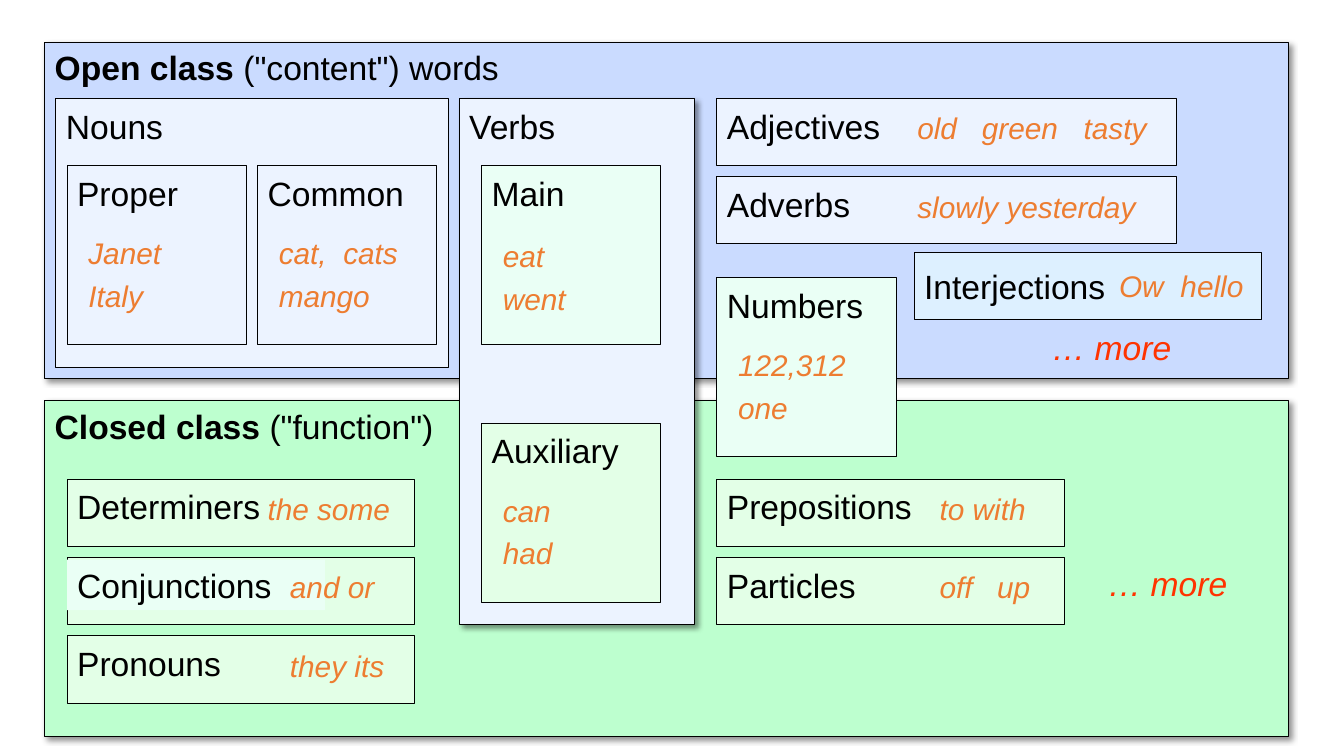
from lxml import etree
from pptx import Presentation
from pptx.dml.color import RGBColor
from pptx.enum.shapes import MSO_SHAPE
from pptx.enum.text import MSO_ANCHOR, PP_ALIGN
from pptx.oxml.ns import qn
from pptx.util import Inches, Pt

RECTANGLE = MSO_SHAPE.RECTANGLE
MIDDLE = MSO_ANCHOR.MIDDLE
LEFT = PP_ALIGN.LEFT

COLORS = {
    "open": "CADBFF",
    "closed": "BDFFCF",
    "pale_blue": "ECF3FF",
    "pale_green": "E3FFE7",
    "mint": "EAFFF5",
    "sky": "DDF0FF",
    "text": "000000",
    "example": "ED7D31",
    "more": "FF3300",
}
UNIT = 1 / 9
GRID_TOP = 0.42
LABEL_SIZE = 24
EXAMPLE_SIZE = 21.3
LABEL_HEIGHT = 4.5
LABEL_DROP = 0.2
EXAMPLE_DROP = 0.6
BAR_HEIGHT = 6
SQUARE = 16


def color(name):
    return RGBColor.from_string(COLORS[name])


def place(column, row, width, height):
    return (Inches(column * UNIT), Inches(GRID_TOP + row * UNIT),
            Inches(width * UNIT), Inches(height * UNIT))


def add_shadow(shape):
    effects = shape._element.spPr.find(qn("a:effectLst"))
    shadow = etree.SubElement(effects, qn("a:outerShdw"), blurRad=str(Pt(4)),
                              dist=str(Pt(3)), dir="2700000", algn="tl", rotWithShape="0")
    black = etree.SubElement(shadow, qn("a:srgbClr"), val=COLORS["text"])
    etree.SubElement(black, qn("a:alpha"), val="43000")


def add_tabs(paragraph, stops):
    tabs = etree.SubElement(paragraph._p.get_or_add_pPr(), qn("a:tabLst"))
    for stop in stops:
        etree.SubElement(tabs, qn("a:tab"), pos=str(Inches(stop)), algn="l")


def style(paragraph, size, color_name, italic=False):
    paragraph.alignment = LEFT
    font = paragraph.font
    font.name = "Arial"
    font.size = Pt(size)
    font.italic = italic
    font.color.rgb = color(color_name)


def add_box(slide, column, row, width, height, fill=None, shadow=False):
    shape = slide.shapes.add_shape(RECTANGLE, *place(column, row, width, height))
    shape.shadow.inherit = False
    if fill:
        shape.fill.solid()
        shape.fill.fore_color.rgb = color(fill)
    else:
        shape.fill.background()
    shape.line.color.rgb = color("text")
    shape.line.width = Pt(0.75)
    if shadow:
        add_shadow(shape)
    return shape


def add_text(slide, column, row, width, lines, size=LABEL_SIZE, color_name="text",
             italic=False, tabs=()):
    height = LABEL_HEIGHT if len(lines) == 1 else 2 * LABEL_HEIGHT - 1
    box = slide.shapes.add_textbox(*place(column, row, width, height))
    frame = box.text_frame
    frame.word_wrap = True
    for index, line in enumerate(lines):
        paragraph = frame.paragraphs[0] if index == 0 else frame.add_paragraph()
        paragraph.text = line
        if index:
            paragraph.space_before = Pt(5)
        if tabs:
            add_tabs(paragraph, tabs)
        style(paragraph, size, color_name, italic)
    return box


def add_examples(slide, column, row, width, lines, tabs=()):
    add_text(slide, column, row, width, lines, EXAMPLE_SIZE, "example", True, tabs)


def add_panel(slide, row, fill):
    add_box(slide, 4, row, 111, 30, fill, shadow=True)


def add_panel_title(slide, row, bold_part, rest):
    box = add_text(slide, 4, row, 45, [bold_part])
    paragraph = box.text_frame.paragraphs[0]
    paragraph.runs[0].font.bold = True
    paragraph.add_run().text = rest


def add_group(slide, column, row, width, height, label):
    add_box(slide, column, row, width, height, "pale_blue", shadow=label == "Verbs")
    add_text(slide, column, row + LABEL_DROP, width, [label])


def add_square(slide, column, row, fill, label, example_row, lines, tabs=()):
    add_box(slide, column, row, SQUARE, SQUARE, fill)
    add_text(slide, column, row + LABEL_DROP, SQUARE, [label])
    add_examples(slide, column + 1, row + example_row, 15, lines, tabs)


def add_bar(slide, column, row, width, fill, label, example_column, example, tabs=(),
            label_fill=None):
    add_box(slide, column, row, width, BAR_HEIGHT, fill)
    label_box = add_text(slide, column, row + LABEL_DROP, 23, [label])
    if label_fill:
        label_box.fill.solid()
        label_box.fill.fore_color.rgb = color(label_fill)
    add_examples(slide, example_column, row + EXAMPLE_DROP, 25, [example], tabs)


def add_interjections(slide):
    box = add_box(slide, 81.6, 18.75, 31, BAR_HEIGHT, "sky")
    frame = box.text_frame
    frame.word_wrap = False
    frame.vertical_anchor = MIDDLE
    frame.text = "Interjections"
    style(frame.paragraphs[0], LABEL_SIZE, "text")
    add_examples(slide, 99, 19.7, 15, ["Ow\thello"], [0.61])


def main():
    presentation = Presentation()
    presentation.slide_width = Inches(13.33)
    presentation.slide_height = Inches(7.5)
    slide = presentation.slides.add_slide(presentation.slide_layouts[6])

    add_panel(slide, 32, "closed")
    add_panel(slide, 0, "open")
    add_panel_title(slide, 0, "Open class ", '("content") words')
    add_panel_title(slide, 32, "Closed class ", '("function")')

    add_group(slide, 5, 5, 35, 24, "Nouns")
    add_group(slide, 41, 5, 21, 47, "Verbs")

    squares = [
        (6, 11, None, "Proper", 5.75, ["Janet", "Italy"]),
        (23, 11, None, "Common", 5.75, ["cat,\tcats", "mango"], [0.64]),
        (43, 34, "pale_green", "Auxiliary", 5.75, ["can", "had"]),
        (43, 11, "mint", "Main", 6, ["eat", "went"]),
        (64, 21, "mint", "Numbers", 5.75, ["122,312", "one"]),
    ]
    for square in squares:
        add_square(slide, *square)

    bars = [
        (64, 5, 41, "pale_blue", "Adjectives", 81, "old\tgreen\ttasty", [0.64, 1.65]),
        (64, 12, 41, "pale_blue", "Adverbs", 81, "slowly yesterday"),
        (64, 39, 31, "pale_green", "Prepositions", 83, "to with"),
        (64, 46, 31, "pale_green", "Particles", 83, "off\tup", [0.57]),
        (6, 39, 31, "pale_green", "Determiners", 23, "the some"),
        (6, 46, 31, "pale_green", "Conjunctions", 25, "and or", (), "mint"),
        (6, 53, 31, "pale_green", "Pronouns", 25, "they its"),
    ]
    for bar in bars:
        add_bar(slide, *bar)

    add_interjections(slide)
    for column, row in [(93, 25), (98, 46)]:
        add_text(slide, column, row, 16, ["… more"], color_name="more", italic=True)

    presentation.save("out.pptx")


if __name__ == "__main__":
    main()
